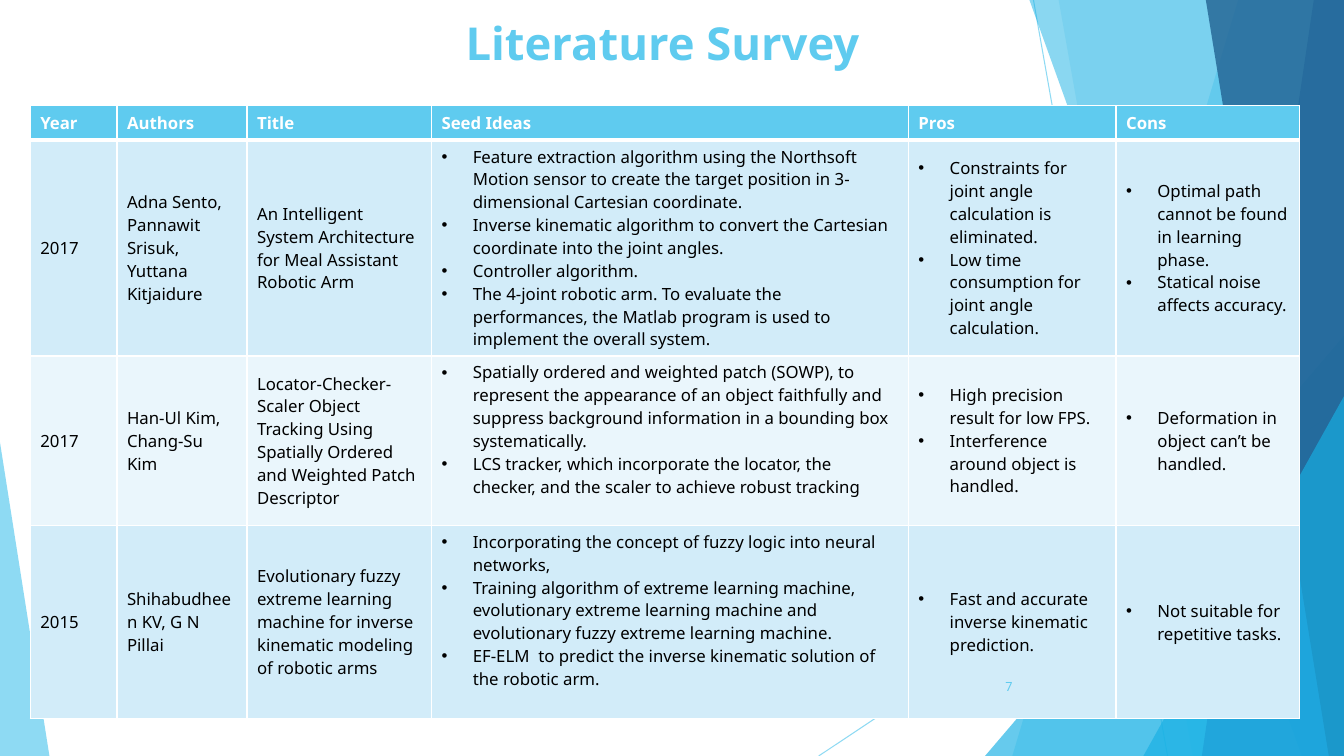
from lxml import etree
from pptx import Presentation
from pptx.dml.color import RGBColor
from pptx.enum.shapes import MSO_CONNECTOR, MSO_SHAPE
from pptx.enum.text import MSO_ANCHOR, MSO_AUTO_SIZE, PP_ALIGN
from pptx.oxml.ns import qn
from pptx.util import Inches, Pt

STRAIGHT = MSO_CONNECTOR.STRAIGHT
TRIANGLE = MSO_SHAPE.ISOSCELES_TRIANGLE
TOP, MIDDLE = MSO_ANCHOR.TOP, MSO_ANCHOR.MIDDLE
CENTER, RIGHT = PP_ALIGN.CENTER, PP_ALIGN.RIGHT
NO_AUTOFIT = MSO_AUTO_SIZE.NONE

WIDTH, HEIGHT = 13.33, 7.5
SKY, CYAN, BLUE, NAVY = "5FCBEF", "17B0E4", "2E83C3", "226292"
WHITE, BLACK = "FFFFFF", "000000"
BANDS = ["D2ECF9", "EAF6FC"]


def color(hex_value):
    return RGBColor.from_string(hex_value)


def set_opacity(container, percent):
    for element in container.iter(qn("a:srgbClr")):
        etree.SubElement(element, qn("a:alpha"), val=str(percent * 1000))


class SlideBuilder:
    font_name = "Noto Sans"
    indent = Inches(0.31)

    def __init__(self, slide):
        self.slide = slide
        self.shapes = slide.shapes

    def line(self, start, end, hex_value, width, opacity):
        connector = self.shapes.add_connector(
            STRAIGHT, *[Inches(value) for value in (*start, *end)])
        connector.line.color.rgb = color(hex_value)
        connector.line.width = Pt(width)
        properties = connector._element.spPr
        set_opacity(properties, opacity)
        etree.SubElement(properties, qn("a:effectLst"))

    def paint(self, shape, hex_value, opacity):
        shape.shadow.inherit = False
        shape.fill.solid()
        shape.fill.fore_color.rgb = color(hex_value)
        shape.line.fill.background()
        set_opacity(shape._element.spPr, opacity)

    def facet(self, top_left, bottom_left, hex_value, opacity):
        """Polygon from a slanted left edge to the right side of the slide."""
        points = [(Inches(x), Inches(y)) for x, y in (
            (top_left, 0), (WIDTH, 0), (WIDTH, HEIGHT), (bottom_left, HEIGHT))]
        outline = self.shapes.build_freeform(*points[0])
        outline.add_line_segments(points[1:], close=True)
        self.paint(outline.convert_to_shape(), hex_value, opacity)

    def triangle(self, left, top, width, peak, hex_value, opacity):
        shape = self.shapes.add_shape(
            TRIANGLE, Inches(left), Inches(top), Inches(width), Inches(HEIGHT - top))
        shape.adjustments[0] = peak
        self.paint(shape, hex_value, opacity)

    def add_words(self, paragraph, text, size, hex_value, bold=False, align=None):
        paragraph.alignment = align
        run = paragraph.add_run()
        run.text = text
        values = {"name": self.font_name, "size": Pt(size), "bold": bold}
        for name, value in values.items():
            setattr(run.font, name, value)
        run.font.color.rgb = color(hex_value)

    def title(self, text, box, size, hex_value):
        shape = self.shapes.title
        self.shapes._spTree.append(shape._element)  # in front of the facets
        for name, value in zip(("left", "top", "width", "height"), box):
            setattr(shape, name, Inches(value))
        frame = shape.text_frame
        values = {"vertical_anchor": TOP, "auto_size": NO_AUTOFIT, "word_wrap": True}
        for name, value in values.items():
            setattr(frame, name, value)
        self.add_words(frame.paragraphs[0], text, size, hex_value, True, CENTER)

    def text(self, text, box, size, hex_value, align):
        frame = self.shapes.add_textbox(*[Inches(value) for value in box]).text_frame
        frame.word_wrap = True
        frame.vertical_anchor = MIDDLE
        self.add_words(frame.paragraphs[0], text, size, hex_value, align=align)

    def bullet(self, paragraph):
        properties = paragraph._p.get_or_add_pPr()
        properties.set("marL", str(self.indent))
        properties.set("indent", str(-self.indent))
        etree.SubElement(properties, qn("a:buFont"), typeface="Arial")
        etree.SubElement(properties, qn("a:buChar"), char="•")

    def borders(self, cell, top, bottom):
        properties = cell._tc.get_or_add_tcPr()
        for side, width in (("L", 1), ("R", 1), ("T", top), ("B", bottom)):
            border = etree.SubElement(properties, qn("a:ln" + side), w=str(Pt(width)))
            fill = etree.SubElement(border, qn("a:solidFill"))
            etree.SubElement(fill, qn("a:srgbClr"), val=WHITE)

    def cell(self, cell, content, row, anchor):
        header = row == 0
        self.borders(cell, 3 if row == 1 else 1, 3 if header else 1)
        cell.fill.solid()
        cell.fill.fore_color.rgb = color(SKY if header else BANDS[(row - 1) % 2])
        cell.vertical_anchor = anchor
        bulleted = isinstance(content, list)
        frame = cell.text_frame
        for index, text in enumerate(content if bulleted else [content]):
            paragraph = frame.add_paragraph() if index else frame.paragraphs[0]
            self.add_words(paragraph, text, 12, WHITE if header else BLACK, header)
            if bulleted:
                self.bullet(paragraph)

    def table(self, left, top, widths, heights, rows, top_column):
        table = self.shapes.add_table(
            len(rows), len(widths), Inches(left), Inches(top),
            Inches(sum(widths)), Inches(sum(heights))).table
        for column, width in zip(table.columns, widths):
            column.width = Inches(width)
        for row, height in zip(table.rows, heights):
            row.height = Inches(height)
        for row, contents in enumerate(rows):
            for column, content in enumerate(contents):
                anchor = TOP if row and column == top_column else MIDDLE
                self.cell(table.cell(row, column), content, row, anchor)


SURVEY = [
    ["Year", "Authors", "Title", "Seed Ideas", "Pros", "Cons"],
    ["2017", "Adna Sento, Pannawit Srisuk, Yuttana Kitjaidure",
     "An Intelligent System Architecture for Meal Assistant Robotic Arm",
     ["Feature extraction algorithm using the Northsoft Motion sensor to create "
      "the target position in 3-dimensional Cartesian coordinate.",
      "Inverse kinematic algorithm to convert the Cartesian coordinate into the joint angles.",
      "Controller algorithm.",
      "The 4-joint robotic arm. To evaluate the performances, the Matlab program "
      "is used to implement the overall system."],
     ["Constraints for joint angle calculation is eliminated.",
      "Low time consumption for joint angle calculation."],
     ["Optimal path cannot be found in learning phase.",
      "Statical noise affects accuracy."]],
    ["2017", "Han-Ul Kim, Chang-Su Kim",
     "Locator-Checker-Scaler Object Tracking Using Spatially Ordered and "
     "Weighted Patch Descriptor",
     ["Spatially ordered and weighted patch (SOWP), to represent the appearance of an "
      "object faithfully and suppress background information in a bounding box "
      "systematically.",
      "LCS tracker, which incorporate the locator, the checker, and the scaler to "
      "achieve robust tracking"],
     ["High precision result for low FPS.", "Interference around object is handled."],
     ["Deformation in object can’t be handled."]],
    ["2015", "Shihabudheen KV, G N Pillai",
     "Evolutionary fuzzy extreme learning machine for inverse kinematic modeling "
     "of robotic arms",
     ["Incorporating the concept of fuzzy logic into neural networks,",
      "Training algorithm of extreme learning machine, evolutionary extreme learning "
      "machine and evolutionary fuzzy extreme learning machine.",
      "EF-ELM \u00a0to predict the inverse kinematic solution of the robotic arm."],
     ["Fast and accurate inverse kinematic prediction."],
     ["Not suitable for repetitive tasks."]],
]

presentation = Presentation()
presentation.slide_width = Inches(WIDTH)
presentation.slide_height = Inches(HEIGHT)
title_only = presentation.slide_layouts[5]
builder = SlideBuilder(presentation.slides.add_slide(title_only))

# Background facets, back to front
builder.line((10.25, 0), (11.58, HEIGHT), SKY, 0.75, 70)
builder.line((WIDTH, 4.03), (8.12, HEIGHT), SKY, 0.75, 70)
builder.facet(12.28, 10.04, SKY, 36)
builder.facet(10.5, 11.83, SKY, 20)
builder.triangle(9.77, 3.33, 3.56, 1, CYAN, 66)
builder.facet(10.21, 12.91, CYAN, 50)
builder.facet(13.03, 11.92, BLUE, 70)
builder.facet(11.96, 13.18, NAVY, 80)
builder.triangle(11.34, 3.93, 1.99, 1, CYAN, 66)
builder.triangle(0, 4.39, 0.49, 0, SKY, 70)

# Title, survey table and page number
builder.title("Literature Survey", (0.82, 0.1, 11.5, 0.58), 32.4, SKY)
builder.table(0.3, 1.05, [0.86, 1.29, 1.83, 4.73, 2.06, 1.82],
              [0.34, 2.14, 1.68, 1.92], SURVEY, top_column=3)
builder.text("7", (9.39, 6.61, 0.75, 0.4), 9, SKY, RIGHT)

presentation.save("out.pptx")
